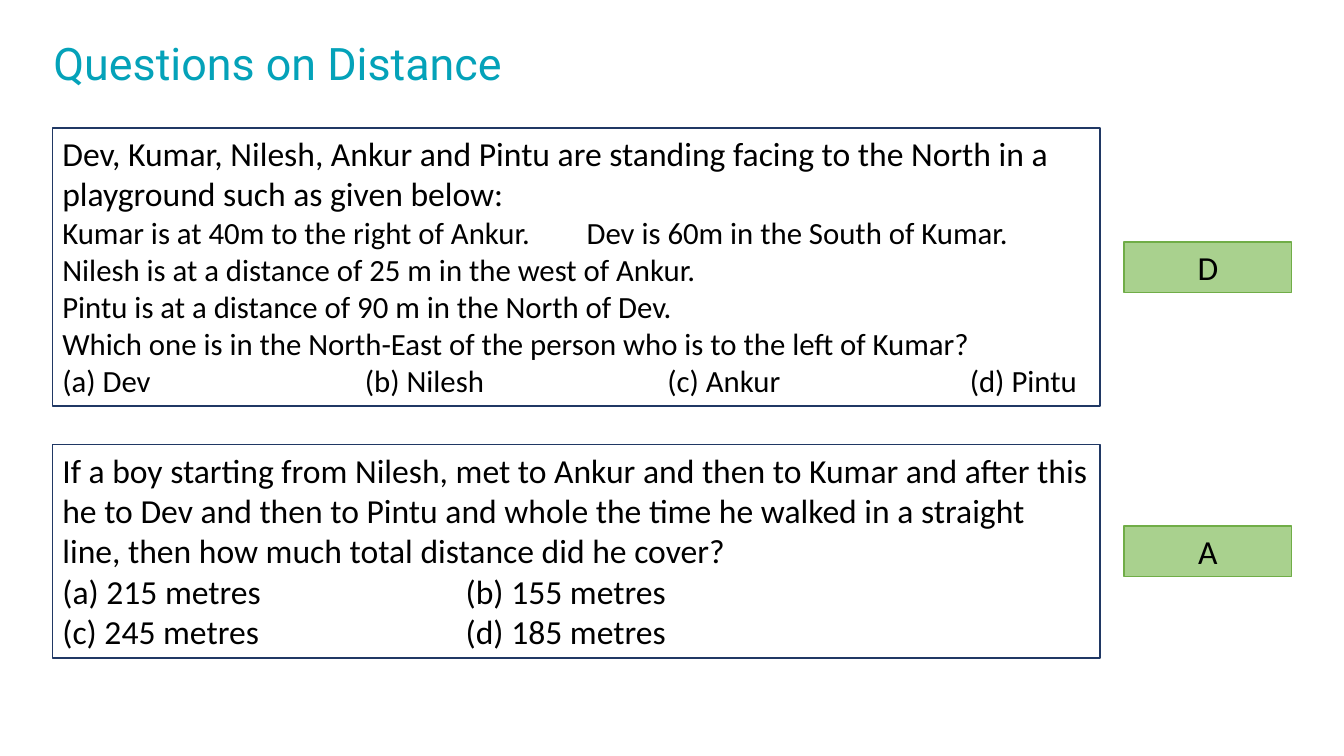
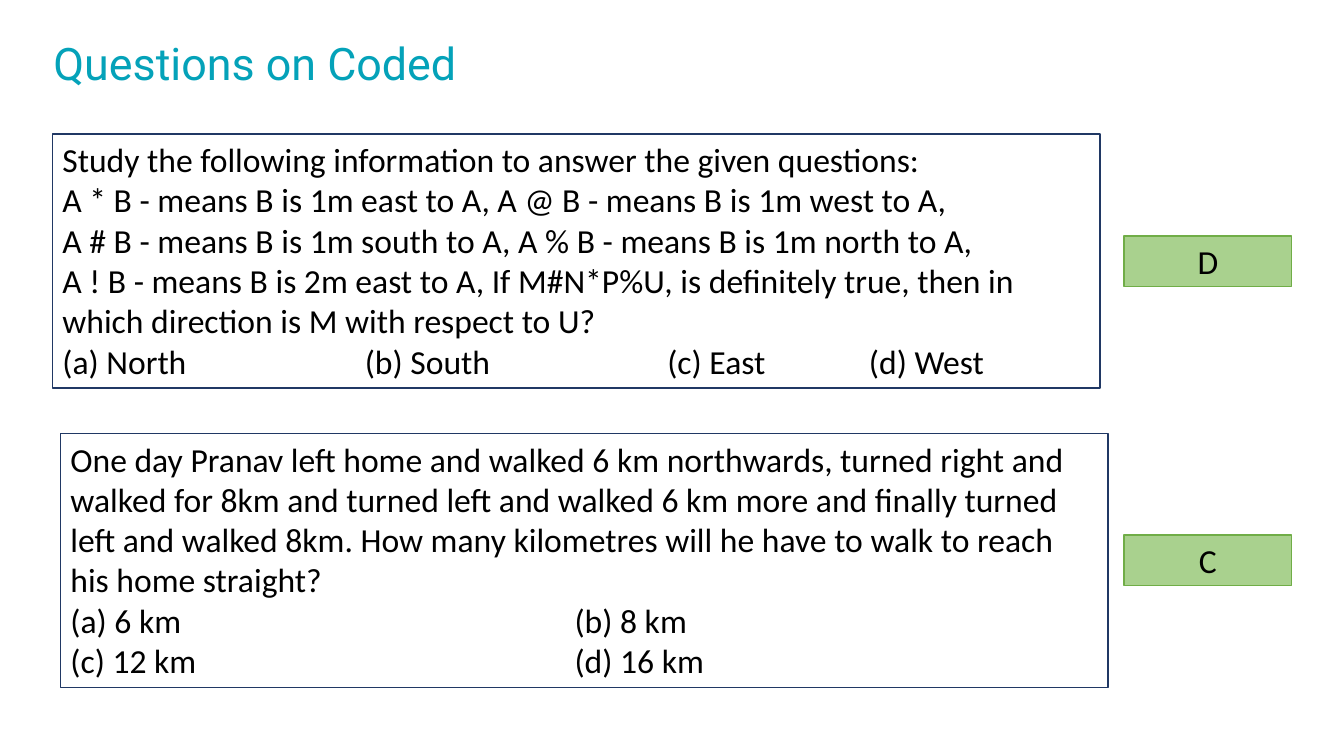
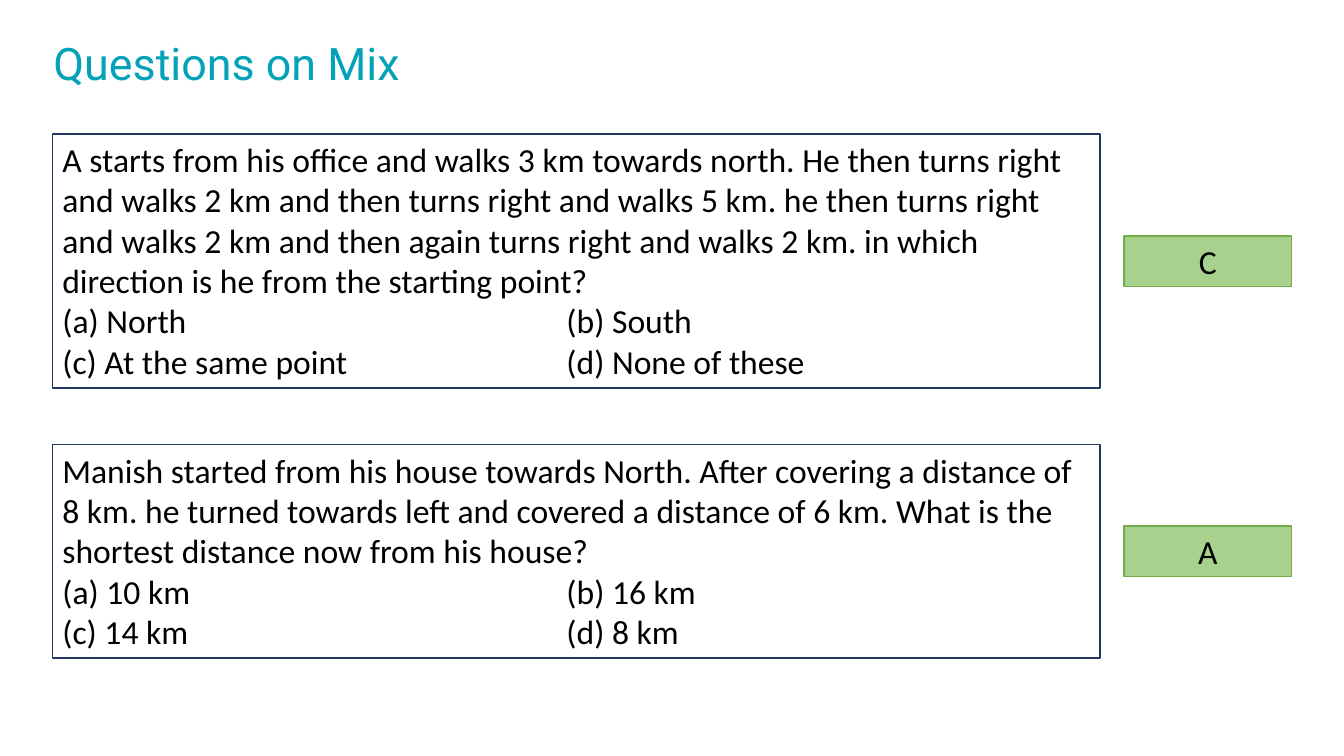
"""Build three slides of direction-sense questions with their answers."""
from lxml import etree
from pptx import Presentation
from pptx.dml.color import RGBColor
from pptx.enum.shapes import MSO_SHAPE
from pptx.enum.text import MSO_ANCHOR, MSO_AUTO_SIZE, PP_ALIGN
from pptx.oxml.ns import qn
from pptx.util import Inches, Pt

RECTANGLE = MSO_SHAPE.RECTANGLE
TOP, MIDDLE = MSO_ANCHOR.TOP, MSO_ANCHOR.MIDDLE
LEFT, CENTER = PP_ALIGN.LEFT, PP_ALIGN.CENTER
NO_AUTOFIT = MSO_AUTO_SIZE.NONE
TITLE_ONLY = 5

COLORS = {
    "title": "04A2B9",
    "text": "000000",
    "question_fill": "FFFFFF",
    "question_line": "203864",
    "answer_fill": "A9D18E",
    "answer_line": "70AD47",
}
TITLE_FONT, BODY_FONT = "Roboto", "Calibri"
MARGIN = 0.52
QUESTION_WIDTH = 10.39
ANSWER_LEFT, ANSWER_WIDTH, ANSWER_HEIGHT = 11.15, 1.66, 0.5
BODY_SIZE, SMALL_SIZE = 24, 22

SLIDES = [
    ("Questions on Distance", [
        {"top": 1.27, "height": 2.76, "answer": "D", "lines": [
            ("Dev, Kumar, Nilesh, Ankur and Pintu are standing facing to the North in a "
             "playground such as given below:",),
            ("Kumar is at 40m to the right of Ankur.\tDev is 60m in the South of Kumar.",
             [5.2], SMALL_SIZE),
            ("Nilesh is at a distance of 25 m in the west of Ankur.", [], SMALL_SIZE),
            ("Pintu is at a distance of 90 m in the North of Dev.", [], SMALL_SIZE),
            ("Which one is in the North-East of the person who is to the left of Kumar?",
             [], SMALL_SIZE),
            ("(a) Dev\t(b) Nilesh\t(c) Ankur\t(d) Pintu", [3, 6, 9], SMALL_SIZE),
        ]},
        {"top": 4.41, "height": 2.12, "answer": "A", "lines": [
            ("If a boy starting from Nilesh, met to Ankur and then to Kumar and after this "
             "he to Dev and then to Pintu and whole the time he walked in a straight line, "
             "then how much total distance did he cover?",),
            ("(a) 215 metres\t(b) 155 metres", [4]),
            ("(c) 245 metres\t(d) 185 metres", [4]),
        ]},
    ]),
    ("Questions on Coded", [
        {"top": 1.33, "height": 2.52, "answer": "D", "lines": [
            ("Study the following information to answer the given questions:",),
            ("A * B - means B is 1m east to A, A @ B - means B is 1m west to A,",),
            ("A # B - means B is 1m south to A, A % B - means B is 1m north to A,",),
            ("A ! B - means B is 2m east to A, If M#N*P%U, is definitely true, then in "
             "which direction is M with respect to U?",),
            ("(a) North\t(b) South\t(c) East\t(d) West", [3, 6, 8]),
        ]},
        {"left": 0.6, "top": 4.3, "height": 2.52, "answer": "C", "lines": [
            ("One day Pranav left home and walked 6 km northwards, turned right and walked "
             "for 8km and turned left and walked 6 km more and finally turned left and "
             "walked 8km. How many kilometres will he have to walk to reach his home "
             "straight?",),
            ("(a) 6 km\t(b) 8 km", [5]),
            ("(c) 12 km\t(d) 16 km", [5]),
        ]},
    ]),
    ("Questions on Mix", [
        {"top": 1.33, "height": 2.52, "answer": "C", "lines": [
            ("A starts from his office and walks 3 km towards north. He then turns right "
             "and walks 2 km and then turns right and walks 5 km. he then turns right and "
             "walks 2 km and then again turns right and walks 2 km. in which direction is "
             "he from the starting point?",),
            ("(a) North\t(b) South", [5]),
            ("(c) At the same point\t(d) None of these", [5]),
        ]},
        {"top": 4.41, "height": 2.12, "answer": "A", "lines": [
            ("Manish started from his house towards North. After covering a distance of "
             "8 km. he turned towards left and covered a distance of 6 km. What is the "
             "shortest distance now from his house?",),
            ("(a) 10 km\t(b) 16 km", [5]),
            ("(c) 14 km\t(d) 8 km", [5]),
        ]},
    ]),
]


def color(name):
    return RGBColor.from_string(COLORS[name])


def add_run(paragraph, text, font_name, size, color_name):
    run = paragraph.add_run()
    run.text = text
    run.font.name = font_name
    run.font.size = Pt(size)
    run.font.color.rgb = color(color_name)


def set_tab_stops(paragraph, stops):
    tab_list = etree.SubElement(paragraph._p.get_or_add_pPr(), qn("a:tabLst"))
    for stop in stops:
        etree.SubElement(tab_list, qn("a:tab"), pos=str(Inches(stop)), algn="l")


def set_title(slide, text):
    title = slide.shapes.title
    title.left, title.top = Inches(MARGIN), Inches(0.34)
    title.width, title.height = Inches(5.59), Inches(0.55)
    frame = title.text_frame
    frame.auto_size = NO_AUTOFIT
    frame.vertical_anchor = MIDDLE
    frame.margin_left = frame.margin_top = Inches(0.01)
    frame.margin_right = frame.margin_bottom = 0
    heading = frame.paragraphs[0]
    heading.alignment = LEFT
    add_run(heading, text, TITLE_FONT, 32, "title")


def add_box(slide, left, top, width, height, role, lines, alignment):
    box = slide.shapes.add_shape(
        RECTANGLE, Inches(left), Inches(top), Inches(width), Inches(height))
    box.shadow.inherit = False
    box.fill.solid()
    box.fill.fore_color.rgb = color(f"{role}_fill")
    box.line.color.rgb = color(f"{role}_line")
    box.line.width = Pt(1)
    frame = box.text_frame
    frame.word_wrap = True
    frame.vertical_anchor = TOP
    for index, (text, stops, size) in enumerate(lines):
        paragraph = frame.add_paragraph() if index else frame.paragraphs[0]
        paragraph.alignment = alignment
        if stops:
            set_tab_stops(paragraph, stops)
        add_run(paragraph, text, BODY_FONT, size, "text")


def add_question(slide, top, height, answer, lines, left=MARGIN):
    full_lines = [(*line, *([], BODY_SIZE)[len(line) - 1:]) for line in lines]
    add_box(slide, left, top, QUESTION_WIDTH, height, "question", full_lines, LEFT)
    answer_top = top + (height - ANSWER_HEIGHT) / 2
    add_box(slide, ANSWER_LEFT, answer_top, ANSWER_WIDTH, ANSWER_HEIGHT,
            "answer", [(answer, [], BODY_SIZE)], CENTER)


def main():
    deck = Presentation()
    deck.slide_width, deck.slide_height = Inches(13.33), Inches(7.5)
    for title, questions in SLIDES:
        slide = deck.slides.add_slide(deck.slide_layouts[TITLE_ONLY])
        set_title(slide, title)
        for question in questions:
            add_question(slide, **question)
    deck.save("out.pptx")


if __name__ == "__main__":
    main()
